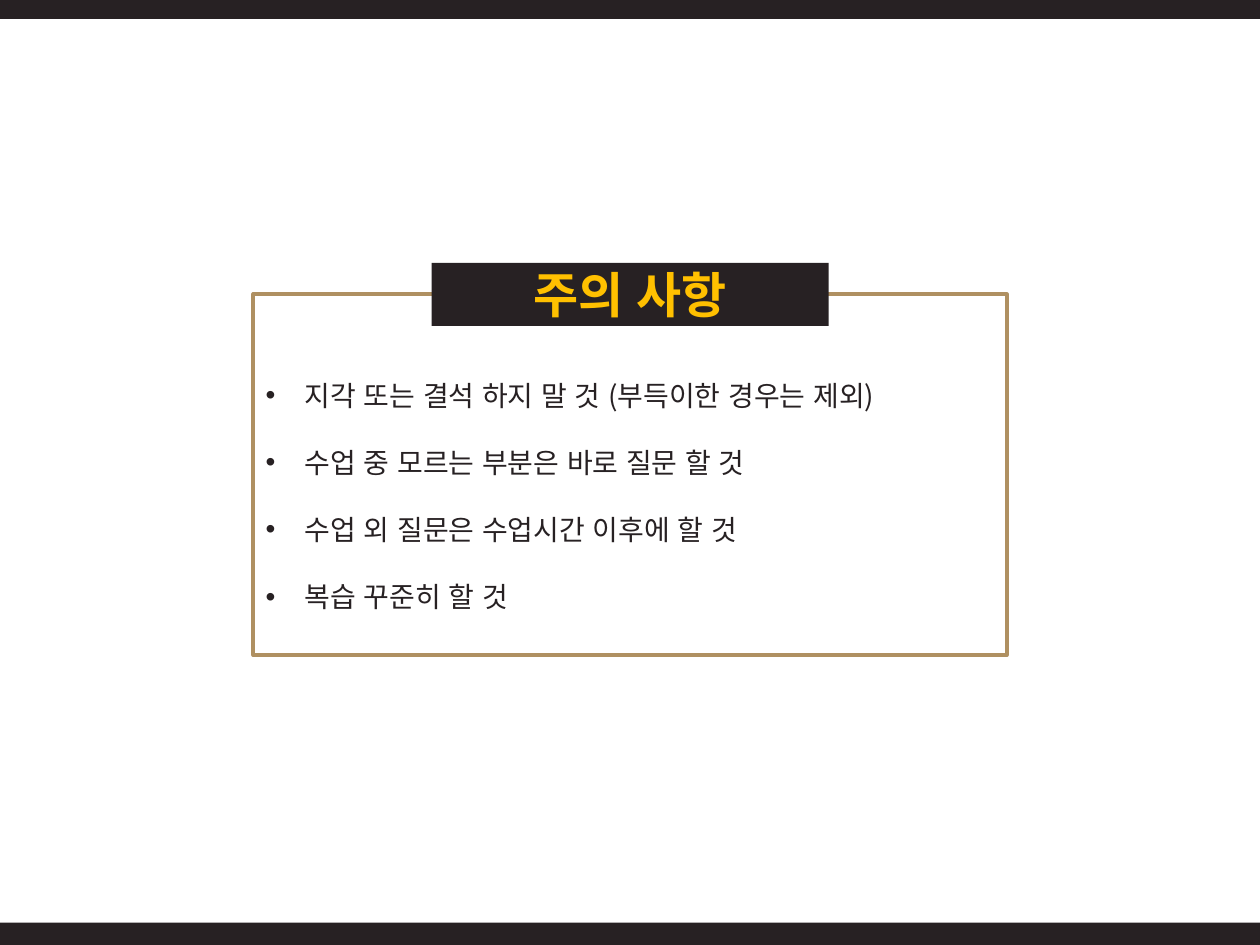
"""Build the class rules slide: a framed bullet list under a title plate."""
from lxml import etree
from pptx import Presentation
from pptx.dml.color import RGBColor
from pptx.enum import lang, shapes, text
from pptx.oxml.ns import qn
from pptx.util import Pt

HEADING = "주의 사항"
RULES = [
    "지각 또는 결석 하지 말 것 (부득이한 경우는 제외)",
    "수업 중 모르는 부분은 바로 질문 할 것",
    "수업 외 질문은 수업시간 이후에 할 것",
    "복습 꾸준히 할 것",
]

FONT = "Noto Sans CJK KR"
DARK = RGBColor(0x27, 0x21, 0x23)
GOLD = RGBColor(0xAF, 0x90, 0x61)
YELLOW = RGBColor(0xFF, 0xC0, 0x00)

WIDTH, HEIGHT = 720, 540
BAR_LEFT, BAR_WIDTH, BAR_HEIGHT = -34.6, 788.4, 12.8
FRAME_LEFT, FRAME_WIDTH = 144.7, 430.6
INDENT = 22.3


def add_box(slide, left, top, width, height, fill=None, line=None):
    box = slide.shapes.add_shape(
        shapes.MSO_SHAPE.RECTANGLE, Pt(left), Pt(top), Pt(width), Pt(height))
    box.shadow.inherit = False
    if fill is None:
        box.fill.background()
    else:
        box.fill.solid()
        box.fill.fore_color.rgb = fill
    if line is None:
        box.line.fill.background()
    else:
        box.line.color.rgb = line
        box.line.width = Pt(2)


def add_text(slide, lines, left, top, width, height, *, size, color, bold=False,
             align=text.PP_ALIGN.LEFT, anchor=text.MSO_ANCHOR.TOP,
             bullet=None, gap=0):
    frame = slide.shapes.add_textbox(
        Pt(left), Pt(top), Pt(width), Pt(height)).text_frame
    frame.word_wrap = True
    frame.vertical_anchor = anchor
    for index, line in enumerate(lines):
        paragraph = frame.add_paragraph() if index else frame.paragraphs[0]
        paragraph.alignment = align
        paragraph.space_before = Pt(gap)
        run = paragraph.add_run()
        run.text = line
        run.font.language_id = lang.MSO_LANGUAGE_ID.KOREAN
        run.font.name = FONT
        run.font.size = Pt(size)
        run.font.bold = bold
        run.font.color.rgb = color
        etree.SubElement(run.font._element, qn("a:ea"), typeface=FONT)
        if bullet:
            props = paragraph._p.get_or_add_pPr()
            props.set("marL", str(Pt(INDENT)))
            props.set("indent", str(-Pt(INDENT)))
            etree.SubElement(props, qn("a:buFont"), typeface="Arial")
            etree.SubElement(props, qn("a:buChar"), char=bullet)


def main():
    deck = Presentation()
    deck.slide_width, deck.slide_height = Pt(WIDTH), Pt(HEIGHT)
    slide = deck.slides.add_slide(deck.slide_layouts[6])

    add_box(slide, FRAME_LEFT, 168, FRAME_WIDTH, 206.4, line=GOLD)
    for bar_top in (HEIGHT - BAR_HEIGHT, -2):
        add_box(slide, BAR_LEFT, bar_top, BAR_WIDTH, BAR_HEIGHT, fill=DARK)
    add_text(slide, RULES, FRAME_LEFT, 193, FRAME_WIDTH, 161,
             size=16, color=DARK, anchor=text.MSO_ANCHOR.BOTTOM,
             bullet="•", gap=19.2)
    add_box(slide, 246.7, 150.2, 226.8, 36, fill=DARK)
    add_text(slide, [HEADING], 252.2, 147.6, 215.6, 41, size=28, color=YELLOW,
             bold=True, align=text.PP_ALIGN.CENTER)

    deck.save("out.pptx")


if __name__ == "__main__":
    main()
